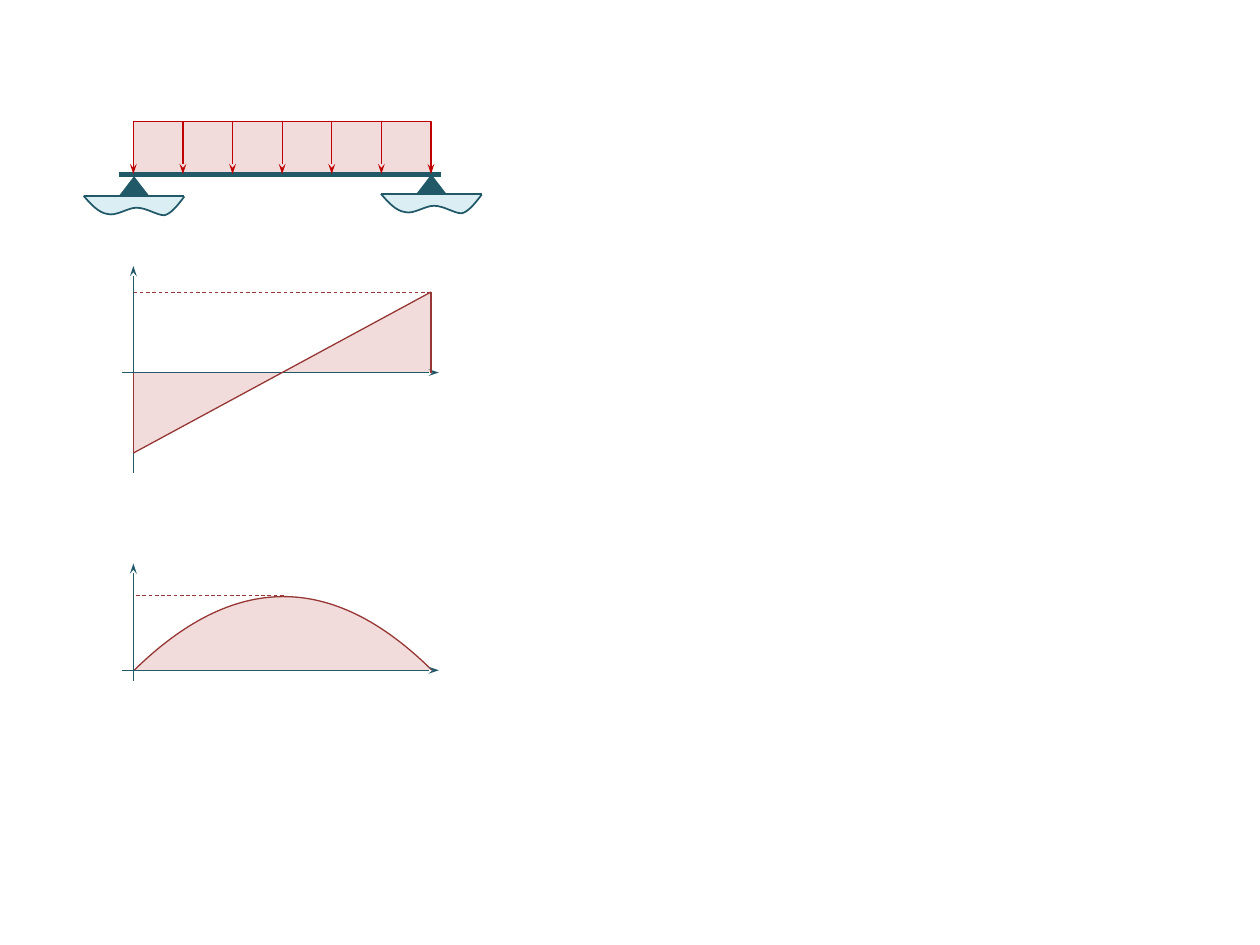
from dataclasses import dataclass

from lxml.etree import SubElement
from pptx import Presentation
from pptx.dml.color import RGBColor
from pptx.enum.dml import MSO_LINE
from pptx.enum.shapes import MSO_CONNECTOR, MSO_SHAPE
from pptx.oxml.ns import qn
from pptx.util import Pt


@dataclass(frozen=True)
class Theme:
    teal: str = "215968"
    ground: str = "DBEEF4"
    load: str = "C00000"
    curve: str = "953735"
    area: str = "F2DCDB"
    hair: float = 0.5
    thin: float = 0.75
    medium: float = 1
    thick: float = 3


class Diagram:
    """Holds the theme and the slide being drawn; lengths are in points."""

    def __init__(self, slide, theme):
        self.slide, self.theme = slide, theme

    def set_line(self, line, color, width, dash=None):
        line.color.rgb = RGBColor.from_string(color)
        for name, value in {"width": Pt(width), "dash_style": dash}.items():
            setattr(line, name, value)

    def paint(self, sp, fill, color=None, width=None):
        sp.shadow.inherit = False
        sp.fill.solid()
        sp.fill.fore_color.rgb = RGBColor.from_string(fill)
        if color:
            self.set_line(sp.line, color, width)
        else:
            sp.line.fill.background()
        return sp

    def shape(self, kind, x, y, w, h, fill, color=None, width=None, rotation=0, flip=False):
        sp = self.slide.shapes.add_shape(kind, Pt(x), Pt(y), Pt(w), Pt(h))
        sp.rotation = rotation
        if flip:
            sp._element.spPr.find(qn("a:xfrm")).set("flipH", "1")
        return self.paint(sp, fill, color, width)

    def curve(self, x, y, w, h, start, segments, fill, color, width):
        """Open chain of cubic curves; points are relative to the box x, y, w, h."""
        builder = self.slide.shapes.build_freeform(Pt(x), Pt(y))
        builder.add_line_segments([(Pt(x + w), Pt(y + h))], close=False)
        sp = builder.convert_to_shape()
        outline = next(sp._element.iter(qn("a:path")))
        for child in list(outline):
            outline.remove(child)
        commands = [("a:moveTo", [start])] + [("a:cubicBezTo", s) for s in segments]
        for tag, points in commands:
            command = SubElement(outline, qn(tag))
            for px, py in points:
                SubElement(command, qn("a:pt"), x=str(int(Pt(px))), y=str(int(Pt(py))))
        return self.paint(sp, fill, color, width)

    def line(self, x1, y1, x2, y2, color, width, dash=None, arrow=None):
        """Straight line; arrow is "headEnd" (at the start) or "tailEnd"."""
        cx = self.slide.shapes.add_connector(
            MSO_CONNECTOR.STRAIGHT, Pt(x1), Pt(y1), Pt(x2), Pt(y2))
        self.set_line(cx.line, color, width, dash)
        if arrow:
            SubElement(cx.line._get_or_add_ln(), qn(f"a:{arrow}"),
                       type="stealth", w="sm", len="med")
        SubElement(cx._element.spPr, qn("a:effectLst"))
        return cx

    def support(self, x, y):
        """Pin with its apex at x, standing on a patch of ground at height y."""
        th = self.theme
        self.shape(MSO_SHAPE.ISOSCELES_TRIANGLE, x - 8.6, y - 11.2, 17.2, 11.2, th.teal)
        left, width = x - 28.8, 57.6
        wave = [((4.3, 5), (8.6, 9.7), (13.7, 10.4)),
                ((18.7, 11.8), (25.2, 6.8), (30.2, 6.8)),
                ((36, 6.8), (41.8, 11.1), (46.1, 11.1)),
                ((49.7, 10.4), (53.3, 6.1), (width, 0.4))]
        self.curve(left, y, width, 11.1, (0, 0), wave, th.ground, th.teal, th.medium)
        self.line(left, y, left + width, y, th.teal, th.medium)

    def axes(self, x, y, top, bottom, right):
        th = self.theme
        self.line(x, top, x, bottom, th.teal, th.thin, arrow="headEnd")
        self.line(right, y, x - 6.4, y, th.teal, th.thin, arrow="headEnd")


def draw_beam(d, left, step, spans):
    th = d.theme
    top, beam, span = 69.6, 99.9, step * spans
    load = d.shape(MSO_SHAPE.RECTANGLE, left, top, span, beam - top,
                   th.area, th.load, th.thin)
    d.line(left - 8, beam, left + span + 6, beam, th.teal, th.thick)
    d.support(left + 0.4, 111.9)
    d.support(left + span + 0.2, 110.8)
    for i in range(spans + 1):
        x = left + i * step
        cx = d.line(x, top, x, beam - 0.4, th.load, th.thin, arrow="tailEnd")
        if 2 * i == spans:
            cx.begin_connect(load, 0)


def draw_shear(d, left, span):
    th = d.theme
    axis, force = 212.9, 46
    right, half = left + span, span / 2
    d.shape(MSO_SHAPE.RIGHT_TRIANGLE, left, axis, half, force, th.area,
            rotation=180, flip=True)
    d.shape(MSO_SHAPE.RIGHT_TRIANGLE, left + half, axis - force, half, force, th.area,
            flip=True)
    d.axes(left, axis, 152, 270, right + 4.5)
    d.line(left, axis + force, right, axis - force, th.curve, th.thin)
    d.line(right, axis - force, left, axis - force, th.curve, th.hair, MSO_LINE.DASH)
    d.line(right, axis, right, axis - force, th.curve, th.thin)
    d.line(left, axis + force, left, axis, th.curve, th.thin)


def draw_moment(d, left, span):
    th = d.theme
    axis, peak = 383, 340.6
    right, height = left + span, axis - peak
    arc = [((56.5, -13), (112.7, -14.4), (span, height))]
    d.curve(left + 0.5, peak, span, height, (0, height), arc, th.area, th.curve, th.thin)
    d.axes(left, axis, 322, 389, right + 4.5)
    d.line(left + span / 2 + 0.8, peak - 0.2, left, peak - 0.2,
           th.curve, th.hair, MSO_LINE.DASH)


def main():
    prs = Presentation()
    prs.slide_width, prs.slide_height = Pt(720), Pt(540)
    d = Diagram(prs.slides.add_slide(prs.slide_layouts[6]), Theme())
    left, step, spans = 76.2, 28.35, 6
    draw_beam(d, left, step, spans)
    draw_shear(d, left, step * spans)
    draw_moment(d, left, step * spans)
    prs.save("out.pptx")


if __name__ == "__main__":
    main()
